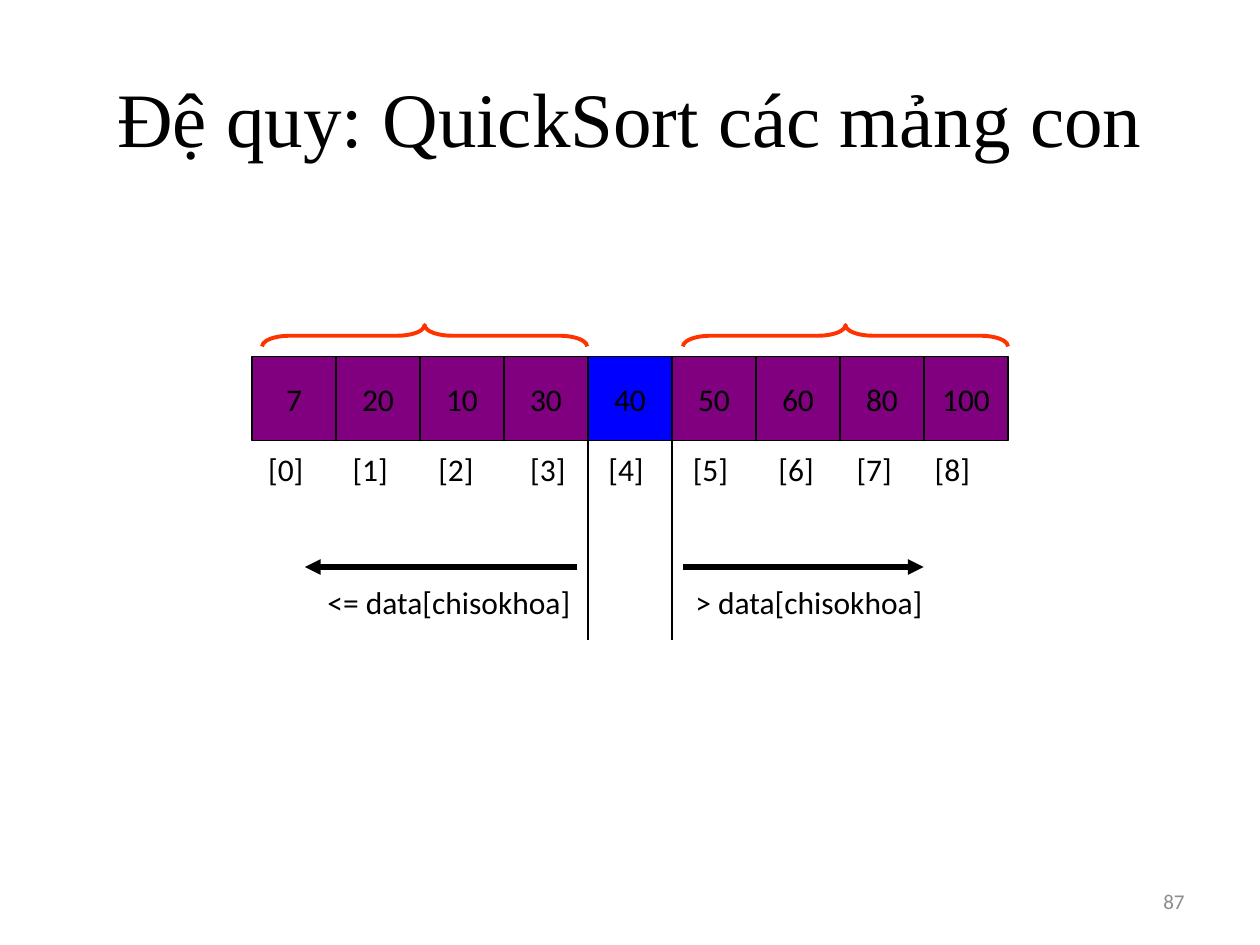
from lxml import etree
from pptx import Presentation
from pptx import util as u
from pptx.dml.color import RGBColor
from pptx.enum import shapes, text
from pptx.oxml.ns import qn


def color(hex_string):
    return RGBColor.from_string(hex_string)


class SlideBuilder:
    """Holds the style and the current slide."""

    font_name = "Calibri"
    font_size = 18
    ink = "000000"

    def __init__(self, slide):
        self.slide = slide

    def set_text(self, shape, words, align, anchor, wrap, size=None, font=None, ink=None):
        frame = shape.text_frame
        frame.word_wrap = wrap
        frame.vertical_anchor = anchor
        paragraph = frame.paragraphs[0]
        paragraph.text = words
        paragraph.alignment = align
        paragraph.font.size = u.Pt(size or self.font_size)
        paragraph.font.name = font or self.font_name
        paragraph.font.color.rgb = color(ink or self.ink)
        return paragraph

    def label(self, words, left, top, width, height=0.4, align=text.PP_ALIGN.LEFT,
              anchor=text.MSO_ANCHOR.TOP, wrap=True, **style):
        box = self.slide.shapes.add_textbox(*map(u.Inches, (left, top, width, height)))
        return self.set_text(box, words, align, anchor, wrap, **style)

    def tabbed_label(self, words, stops, left, top, width):
        paragraph = self.label("\t".join(words), left, top, width)
        tabs = etree.Element(qn("a:tabLst"))
        for stop in stops:
            etree.SubElement(tabs, qn("a:tab"), pos=str(u.Inches(stop)), algn="l")
        paragraph._p.get_or_add_pPr().insert(0, tabs)

    def cell(self, words, left, top, size, fill):
        shape = self.slide.shapes.add_shape(
            shapes.MSO_SHAPE.RECTANGLE, *map(u.Inches, (left, top, size, size)))
        shape.shadow.inherit = False
        shape.fill.solid()
        shape.fill.fore_color.rgb = color(fill)
        shape.line.color.rgb = color(self.ink)
        shape.line.width = u.Pt(0.75)
        self.set_text(shape, words, text.PP_ALIGN.CENTER, text.MSO_ANCHOR.MIDDLE, False)

    def line(self, start, end, width=0.75, arrow=False):
        connector = self.slide.shapes.add_connector(
            shapes.MSO_CONNECTOR.STRAIGHT, *map(u.Inches, (*start, *end)))
        connector.line.color.rgb = color(self.ink)
        connector.line.width = u.Pt(width)
        if arrow:
            outline = connector._element.spPr.find(qn("a:ln"))
            etree.SubElement(outline, qn("a:tailEnd"), type="triangle")
        etree.SubElement(connector._element.spPr, qn("a:effectLst"))

    def brace(self, left, top, width, height):
        """A left brace turned to point up; the arguments give the turned box."""
        shape = self.slide.shapes.add_shape(
            shapes.MSO_SHAPE.LEFT_BRACE,
            u.Inches(left + (width - height) / 2), u.Inches(top + (height - width) / 2),
            u.Inches(height), u.Inches(width))
        shape.rotation = 90
        shape.adjustments[0] = 1.29
        shape.shadow.inherit = False
        shape.fill.background()
        shape.line.color.rgb = color("FF3300")
        shape.line.width = u.Pt(2.25)


def main():
    presentation = Presentation()
    presentation.slide_width, presentation.slide_height = u.Inches(10), u.Inches(7.5)
    builder = SlideBuilder(presentation.slides.add_slide(presentation.slide_layouts[6]))

    # Title
    builder.label("Đệ quy: QuickSort các mảng con", 0.5, 0.3, 9, 1.25,
                  align=text.PP_ALIGN.CENTER, anchor=text.MSO_ANCHOR.MIDDLE,
                  size=44, font="Times New Roman")

    # Array with the pivot in its own colour
    values = [7, 20, 10, 30, 40, 50, 60, 80, 100]
    pivot = 4
    array_left, array_top, cell_size = 2, 2.83, 2 / 3
    for index, value in enumerate(values):
        builder.cell(str(value), array_left + index * cell_size, array_top, cell_size,
                     "0000FF" if index == pivot else "800080")

    # Lines at both sides of the pivot
    pivot_left = array_left + pivot * cell_size
    for x in (pivot_left, pivot_left + cell_size):
        builder.line((x, array_top), (x, 5.08))

    # Directions and conditions of the two parts
    for start, end, words, left, width in (
            (4.58, 2.42, "<= data[chisokhoa]", 2.5, 2.15),
            (5.42, 7.33, "> data[chisokhoa]", 5.42, 2.03)):
        builder.line((start, 4.5), (end, 4.5), width=3, arrow=True)
        builder.label(words, left, 4.58, width, wrap=False)

    # Braces over the two parts
    for left in (2.08, 5.42):
        builder.brace(left, 2.58, 2.58, 0.17)

    # Indexes
    builder.tabbed_label([f"[{index}]" for index in range(len(values))],
                         (0.67, 1.35, 2.08, 2.7, 3.37, 4.05, 4.67, 5.29), 2.03, 3.52, 6.75)

    # Slide number
    builder.label("87", 7.17, 6.95, 2.33, align=text.PP_ALIGN.RIGHT,
                  anchor=text.MSO_ANCHOR.MIDDLE, size=12, ink="8C8C8C")

    presentation.save("out.pptx")


if __name__ == "__main__":
    main()
